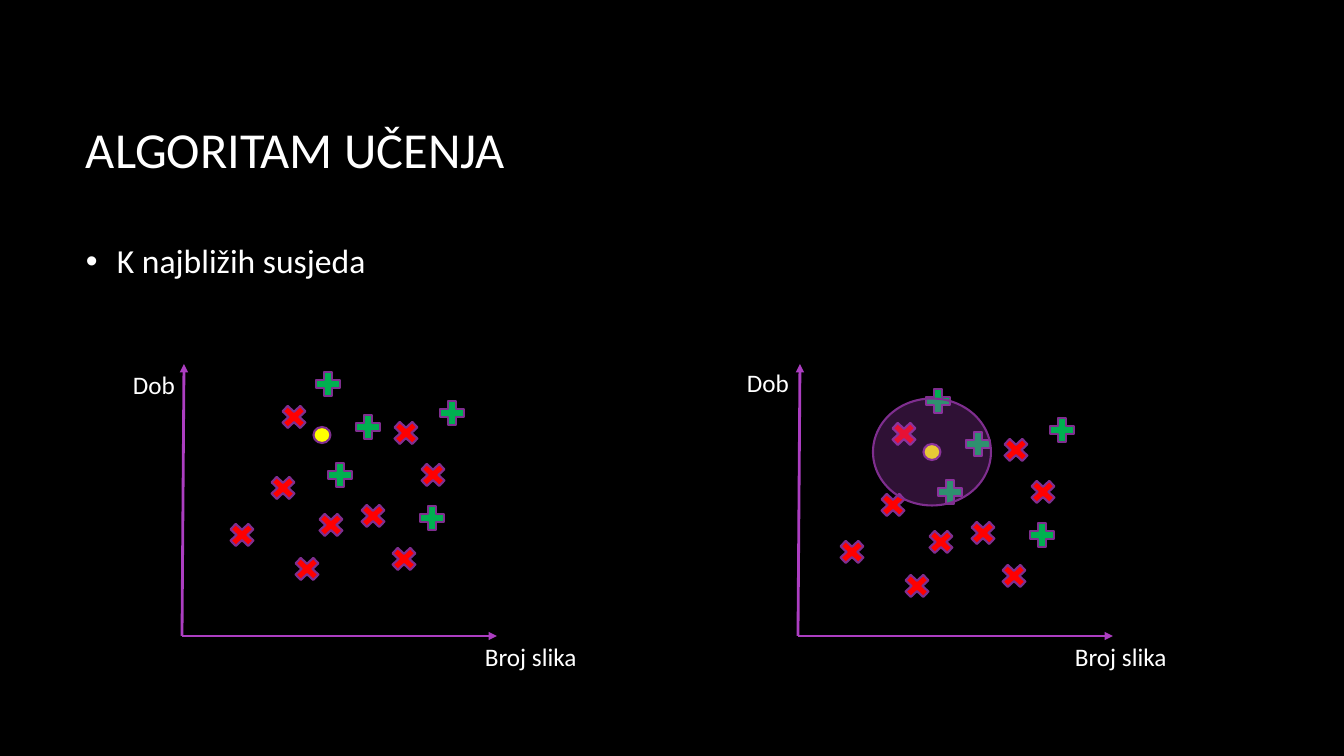
from lxml import etree
from pptx import Presentation
from pptx.dml.color import RGBColor
from pptx.enum.shapes import MSO_CONNECTOR, MSO_SHAPE
from pptx.enum.text import MSO_ANCHOR, MSO_AUTO_SIZE
from pptx.oxml.ns import qn
from pptx.util import Emu, Pt

FONT = "Calibri"
BLACK = RGBColor(0x00, 0x00, 0x00)
WHITE = RGBColor(0xFF, 0xFF, 0xFF)
RED = RGBColor(0xFF, 0x00, 0x00)
GREEN = RGBColor(0x00, 0xB0, 0x50)
YELLOW = RGBColor(0xFF, 0xFF, 0x00)
PURPLE = RGBColor(0xAC, 0x3E, 0xC1)
OUTLINE = RGBColor(0x7F, 0x2E, 0x8F)

# Marker centres in the left chart
CROSSES = [(242, 535), (307, 569), (283, 488), (373, 516), (294, 417),
           (406, 433), (433, 475), (404, 559), (331, 525)]
PLUSES = [(340, 475), (368, 427), (432, 518), (328, 384), (452, 413)]
NEW_POINT = (322, 435)


def px(value):
    return Emu(round(value * 914400 / 100.8))


def add_text(slide, text, box, size, anchor=MSO_ANCHOR.TOP, wrap=True):
    frame = slide.shapes.add_textbox(*map(px, box)).text_frame
    frame.word_wrap = wrap
    frame.vertical_anchor = anchor
    if not wrap:
        frame.auto_size = MSO_AUTO_SIZE.SHAPE_TO_FIT_TEXT
    paragraph = frame.paragraphs[0]
    run = paragraph.add_run()
    run.text = text
    run.font.name = FONT
    run.font.size = Pt(size)
    run.font.color.rgb = WHITE
    return paragraph


def add_bullet(paragraph, indent):
    properties = paragraph._p.get_or_add_pPr()
    properties.set("marL", str(px(indent)))
    properties.set("indent", str(-px(indent)))
    etree.SubElement(properties, qn("a:buFont"), typeface="Arial")
    etree.SubElement(properties, qn("a:buChar"), char="•")


def add_marker(slide, kind, center, size, color, alpha=None):
    (x, y), (width, height) = center, size
    box = (x - width / 2, y - height / 2, width, height)
    marker = slide.shapes.add_shape(kind, *map(px, box))
    marker.shadow.inherit = False
    marker.fill.solid()
    marker.fill.fore_color.rgb = color
    marker.line.color.rgb = OUTLINE
    marker.line.width = Pt(1.5)
    if alpha is not None:
        fill = marker._element.spPr.find(qn("a:solidFill"))
        etree.SubElement(fill[0], qn("a:alpha"), val=str(alpha * 1000))


def add_arrow(slide, start, end):
    arrow = slide.shapes.add_connector(
        MSO_CONNECTOR.STRAIGHT, *map(px, start + end))
    arrow.line.color.rgb = PURPLE
    arrow.line.width = Pt(2)
    etree.SubElement(arrow.line._get_or_add_ln(), qn("a:tailEnd"), type="triangle")
    etree.SubElement(arrow._element.spPr, qn("a:effectLst"))


def add_axes(slide, x, y_label, x_label):
    origin = (x, 636)
    add_arrow(slide, origin, (x + 2, 364))
    add_arrow(slide, origin, (x + 315, 636))
    add_text(slide, "Dob", (*y_label, 62, 40), 18, wrap=False)
    add_text(slide, "Broj slika", (*x_label, 113, 40), 18, wrap=False)


def add_points(slide, dx=0, dy=0):
    groups = [(MSO_SHAPE.MATH_MULTIPLY, CROSSES, (34, 32), RED),
              (MSO_SHAPE.MATH_PLUS, PLUSES, (32, 32), GREEN),
              (MSO_SHAPE.OVAL, [NEW_POINT], (17, 16), YELLOW)]
    for kind, centers, size, color in groups:
        for x, y in centers:
            add_marker(slide, kind, (x + dx, y + dy), size, color)


def main():
    deck = Presentation()
    deck.slide_width, deck.slide_height = px(1344), px(756)
    slide = deck.slides.add_slide(deck.slide_layouts[6])
    slide.background.fill.solid()
    slide.background.fill.fore_color.rgb = BLACK

    # Title and bullet
    add_text(slide, "ALGORITAM UČENJA", (76, 68, 1117, 160), 36, MSO_ANCHOR.MIDDLE)
    bullet = add_text(slide, "K najbližih susjeda", (76, 236, 1117, 49), 24,
                      MSO_ANCHOR.MIDDLE)
    bullet.space_after = Pt(10)
    add_bullet(bullet, 31)

    # Left chart: the new point among its neighbours
    add_axes(slide, 182, (123, 364), (475, 636))
    add_points(slide)

    # Right chart: the nearest neighbours circled
    add_axes(slide, 798, (737, 362), (1065, 636))
    add_points(slide, 610, 17)
    add_marker(slide, MSO_SHAPE.OVAL, (932, 452), (118, 107), PURPLE, alpha=28)

    deck.save("out.pptx")


main()
